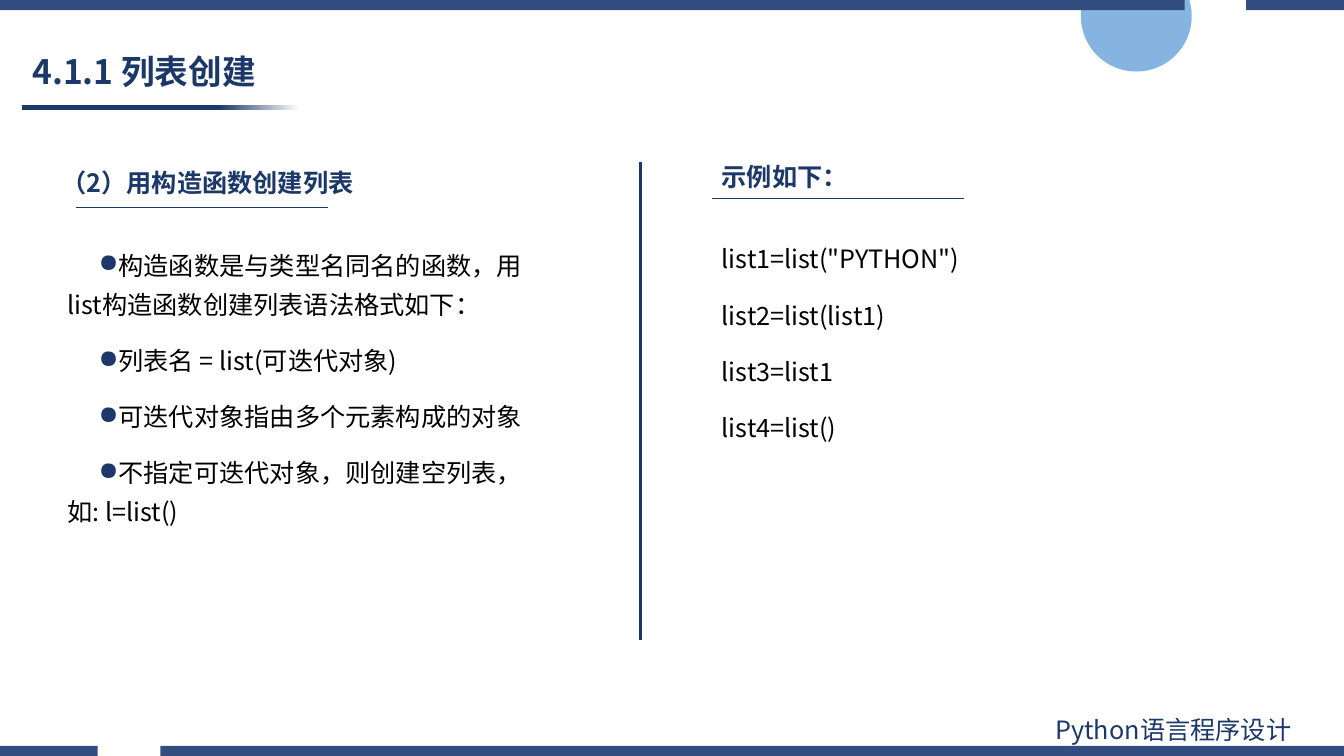
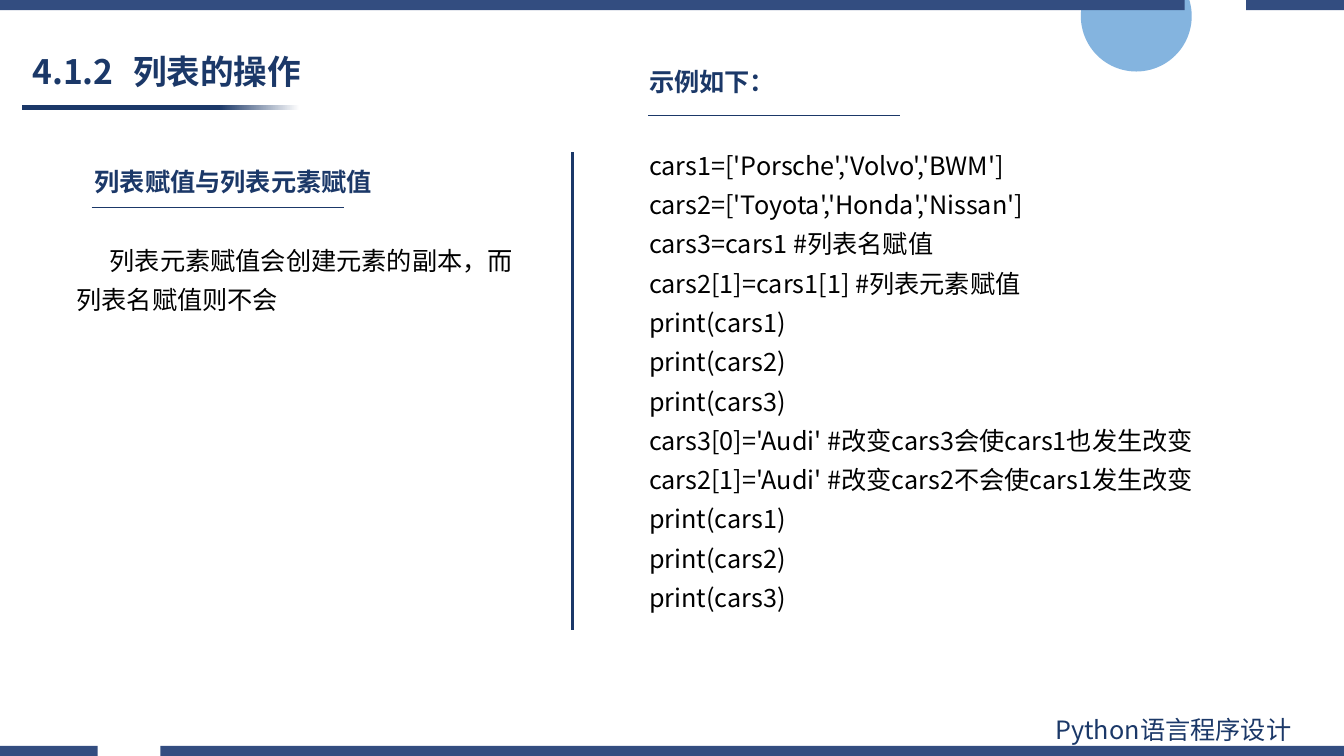
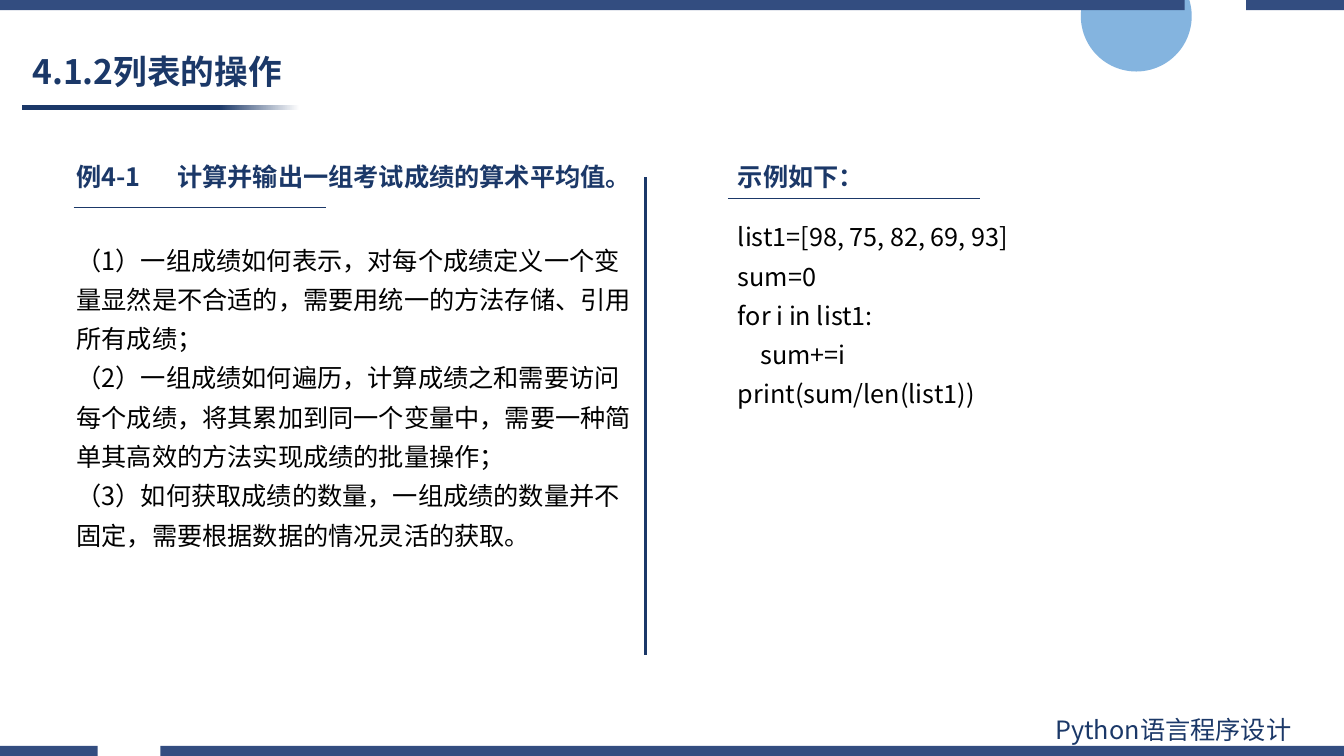
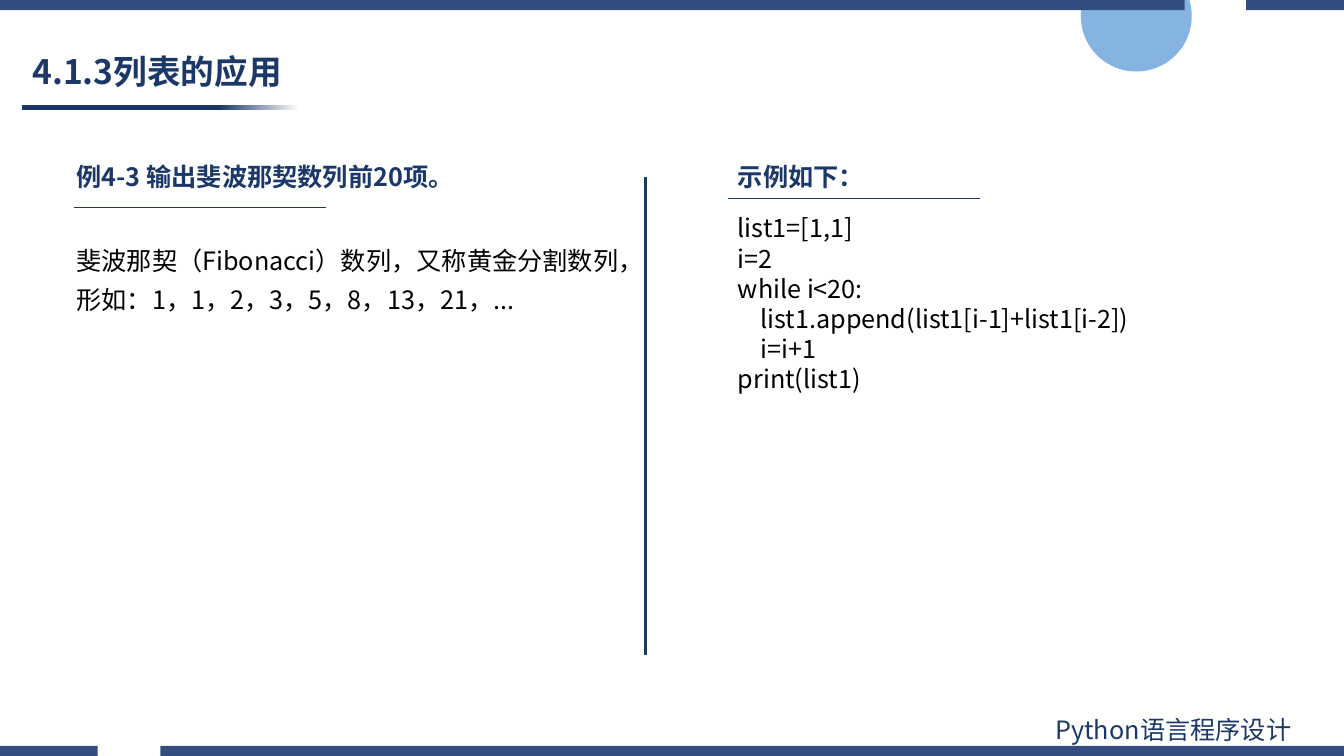
from dataclasses import dataclass
from typing import Any

import lxml.etree
import pptx
import pptx.dml.color
import pptx.enum.shapes
import pptx.enum.text
import pptx.oxml.ns
import pptx.util

PX = 9144  # EMU in one px, 100 px to the inch
SLIDE_W, SLIDE_H = 1333, 750
FONT = "Noto Sans CJK SC"
NAVY, BAND, SKY, WHITE, BLACK = "1B3868", "334D80", "5B9BD5", "FFFFFF", "000000"
BAND_H = 10
RULE_W = 250
DIVIDER_H = 474
HEADING_H = 40
EXAMPLE = "示例如下："


@dataclass(frozen=True)
class Box:
    x: int
    y: int
    w: int
    h: int


@dataclass(frozen=True)
class ParaStyle:
    size: int = 18
    color: str = BLACK
    bold: bool = False
    line_spacing: float = 1.0
    gap: int = 0
    margin: int = 0
    indent: int = 0
    bullet: str = ""
    tab: int = 0


@dataclass(frozen=True)
class Panel:
    """A heading with a thin rule below it, and the body text."""
    heading: str
    heading_box: Box
    rule: tuple[int, int]
    lines: list[str]
    body_box: Box
    style: ParaStyle
    tab: int = 0


@dataclass(frozen=True)
class Page:
    title: str
    divider: tuple[int, int]
    panels: list[Panel]
    tab: int = 0


BODY = ParaStyle(line_spacing=1.3)
SPACED = ParaStyle(line_spacing=1.3, gap=6)
BULLETS = ParaStyle(line_spacing=1.3, gap=6, margin=31, indent=31, bullet="●")
INDENTED = ParaStyle(line_spacing=1.3, indent=33)
TIGHT = ParaStyle()

PAGES = [
    Page("4.1.1 列表创建", (635, 161), [
        Panel("（2）用构造函数创建列表", Box(51, 161, 340, HEADING_H), (75, 206),
              ["构造函数是与类型名同名的函数，用list构造函数创建列表语法格式如下：",
               "列表名 = list(可迭代对象)",
               "可迭代对象指由多个元素构成的对象",
               "不指定可迭代对象，则创建空列表，如: l=list()"],
              Box(26, 234, 506, 297), BULLETS),
        Panel(EXAMPLE, Box(706, 155, 340, HEADING_H), (706, 197),
              ['list1=list("PYTHON")', "list2=list(list1)", "list3=list1", "list4=list()"],
              Box(706, 228, 455, 266), SPACED),
    ]),
    Page("4.1.2\t列表的操作", (568, 151), [
        Panel("列表赋值与列表元素赋值", Box(84, 160, 340, HEADING_H), (91, 206),
              ["列表元素赋值会创建元素的副本，而列表名赋值则不会"],
              Box(66, 229, 468, 128), INDENTED),
        Panel(EXAMPLE, Box(634, 61, 340, HEADING_H), (643, 114),
              ["cars1=['Porsche','Volvo','BWM']",
               "cars2=['Toyota','Honda','Nissan']",
               "cars3=cars1 #列表名赋值",
               "cars2[1]=cars1[1] #列表元素赋值",
               "print(cars1)", "print(cars2)", "print(cars3)",
               "cars3[0]='Audi' #改变cars3会使cars1也发生改变",
               "cars2[1]='Audi' #改变cars2不会使cars1发生改变",
               "print(cars1)", "print(cars2)", "print(cars3)"],
              Box(634, 135, 582, 522), BODY),
    ], tab=103),
    Page("4.1.2列表的操作", (640, 176), [
        Panel("例4-1\t计算并输出一组考试成绩的算术平均值。", Box(66, 155, 549, HEADING_H), (73, 206),
              ["（1）一组成绩如何表示，对每个成绩定义一个变量显然是不合适的，"
               "需要用统一的方法存储、引用所有成绩；",
               "（2）一组成绩如何遍历，计算成绩之和需要访问每个成绩，将其累加到同一个变量中，"
               "需要一种简单其高效的方法实现成绩的批量操作；",
               "（3）如何获取成绩的数量，一组成绩的数量并不固定，需要根据数据的情况灵活的获取。"],
              Box(66, 229, 571, 321), BODY, tab=87),
        Panel(EXAMPLE, Box(722, 155, 340, HEADING_H), (722, 197),
              ["list1=[98, 75, 82, 69, 93]", "sum=0", "for i in list1:",
               "    sum+=i", "print(sum/len(list1))"],
              Box(722, 206, 395, 238), BODY),
    ]),
    Page("4.1.3列表的应用", (640, 176), [
        Panel("例4-3 输出斐波那契数列前20项。", Box(66, 155, 548, HEADING_H), (73, 206),
              ["斐波那契（Fibonacci）数列，又称黄金分割数列，形如：1，1，2，3，5，8，13，21，..."],
              Box(66, 229, 571, 85), BODY),
        Panel(EXAMPLE, Box(722, 155, 340, HEADING_H), (722, 197),
              ["list1=[1,1]", "i=2", "while i<20:",
               "    list1.append(list1[i-1]+list1[i-2])", "    i=i+1", "print(list1)"],
              Box(722, 206, 523, 192), TIGHT),
    ]),
]


def px(n: int) -> pptx.util.Emu:
    return pptx.util.Emu(n * PX)


def place(box: Box) -> tuple[pptx.util.Emu, ...]:
    return px(box.x), px(box.y), px(box.w), px(box.h)


def rgb(color: str) -> pptx.dml.color.RGBColor:
    return pptx.dml.color.RGBColor.from_string(color)


def add_element(parent: Any, tag: str, **attrs: str) -> Any:
    return lxml.etree.SubElement(parent, pptx.oxml.ns.qn(tag), **attrs)


def write(tf: Any, lines: list[str], style: ParaStyle) -> None:
    for i, line in enumerate(lines):
        p = tf.paragraphs[0] if i == 0 else tf.add_paragraph()
        pPr = p._p.get_or_add_pPr()
        pPr.set("marL", str(px(style.margin)))
        pPr.set("indent", str(px(style.indent)))
        if style.bullet:
            add_element(add_element(pPr, "a:buClr"), "a:srgbClr", val=NAVY)
            add_element(pPr, "a:buChar", char=style.bullet)
        if style.tab:
            add_element(add_element(pPr, "a:tabLst"), "a:tab", pos=str(px(style.tab)), algn="l")
        p.alignment = pptx.enum.text.PP_ALIGN.LEFT
        p.line_spacing = style.line_spacing
        p.space_before = pptx.util.Pt(style.gap if i else 0)
        p.space_after = pptx.util.Pt(style.gap)
        r = p.add_run()
        r.text = line
        r.font.size = pptx.util.Pt(style.size)
        r.font.bold = style.bold
        r.font.color.rgb = rgb(style.color)
        r.font.name = FONT
        add_element(r.font._element, "a:ea", typeface=FONT)


def add_text(s: Any, box: Box, lines: list[str], style: ParaStyle) -> None:
    tf = s.shapes.add_textbox(*place(box)).text_frame
    tf.word_wrap = True
    tf.auto_size = pptx.enum.text.MSO_AUTO_SIZE.SHAPE_TO_FIT_TEXT
    write(tf, lines, style)


def add_line(s: Any, x: int, y: int, dx: int, dy: int, width: float) -> None:
    line = s.shapes.add_connector(pptx.enum.shapes.MSO_CONNECTOR.STRAIGHT,
                                  px(x), px(y), px(x + dx), px(y + dy))
    line.line.color.rgb = rgb(NAVY)
    line.line.width = pptx.util.Pt(width)
    add_element(line._element.spPr, "a:effectLst")


def make_plain(sp: Any) -> None:
    """Remove the outline and the shadow."""
    sp.shadow.inherit = False
    sp.line.fill.background()


def add_band(s: Any, y: int, gap_start: int, gap_end: int) -> None:
    """Draw a full-width band with one gap, as a single outline."""
    builder = None
    for left, right in ((0, gap_start), (gap_end, SLIDE_W)):
        if builder is None:
            builder = s.shapes.build_freeform(left, y, scale=PX)
        else:
            builder.move_to(left, y)
        builder.add_line_segments([(right, y), (right, y + BAND_H), (left, y + BAND_H)])
    sp = builder.convert_to_shape()
    make_plain(sp)
    sp.fill.solid()
    sp.fill.fore_color.rgb = rgb(BAND)


def add_frame(s: Any) -> None:
    """Draw the circle, title underline, bands and footer of every slide."""
    shape_type = pptx.enum.shapes.MSO_SHAPE
    circle = s.shapes.add_shape(shape_type.OVAL, *place(Box(1072, -39, 110, 110)))
    make_plain(circle)
    circle.fill.solid()
    circle.fill.fore_color.rgb = rgb(SKY)
    color = circle._element.spPr.find(".//" + pptx.oxml.ns.qn("a:srgbClr"))
    add_element(color, "a:alpha", val="75000")

    underline = s.shapes.add_shape(shape_type.RECTANGLE, *place(Box(22, 104, 275, 5)))
    make_plain(underline)
    underline.fill.gradient()
    underline.fill.gradient_angle = 0
    for stop, position, shade in zip(underline.fill.gradient_stops, (0.71, 1), (NAVY, WHITE)):
        stop.position = position
        stop.color.rgb = rgb(shade)

    add_band(s, SLIDE_H - BAND_H, 97, 159)
    add_band(s, 0, 1175, 1236)
    add_text(s, Box(1037, 704, 294, 40), ["Python语言程序设计"], ParaStyle(color=NAVY))


def add_title(s: Any, text: str, tab: int) -> None:
    title = s.shapes.title
    title.left, title.top, title.width, title.height = place(Box(22, 45, 604, 56))
    tf = title.text_frame
    tf.word_wrap = True
    tf.auto_size = pptx.enum.text.MSO_AUTO_SIZE.NONE
    tf.vertical_anchor = pptx.enum.text.MSO_ANCHOR.MIDDLE
    write(tf, [text], ParaStyle(size=24, color=NAVY, bold=True, line_spacing=0.9, tab=tab))


def add_panel(s: Any, panel: Panel) -> None:
    add_text(s, panel.heading_box, [panel.heading],
             ParaStyle(color=NAVY, bold=True, tab=panel.tab))
    add_line(s, *panel.rule, RULE_W, 0, 0.5)
    add_text(s, panel.body_box, panel.lines, panel.style)


def main() -> None:
    prs = pptx.Presentation()
    prs.slide_width, prs.slide_height = px(SLIDE_W), px(SLIDE_H)
    for page in PAGES:
        s = prs.slides.add_slide(prs.slide_layouts[5])
        add_frame(s)
        add_title(s, page.title, page.tab)
        add_line(s, *page.divider, 0, DIVIDER_H, 2)
        for panel in page.panels:
            add_panel(s, panel)
    prs.save("out.pptx")


if __name__ == "__main__":
    main()
